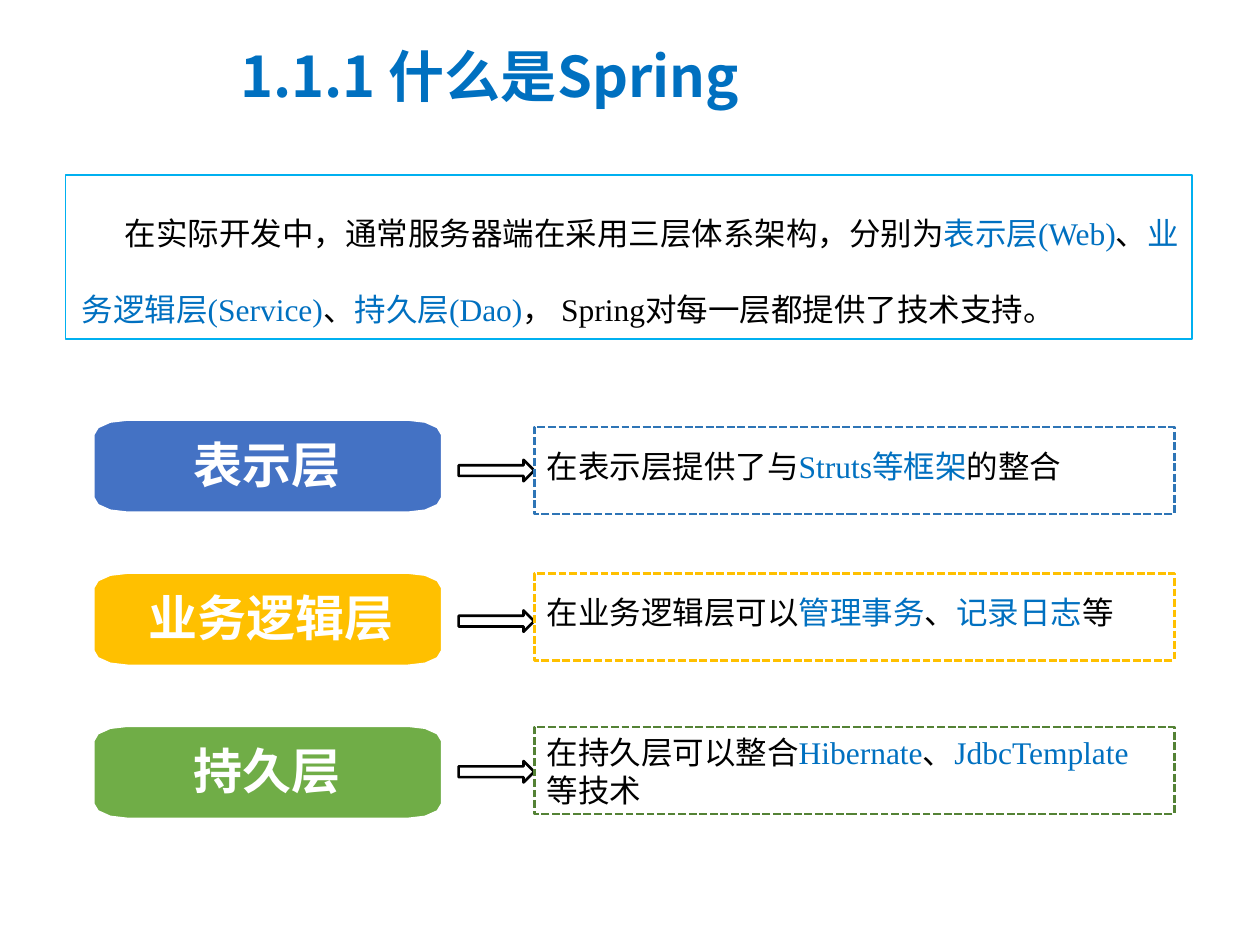
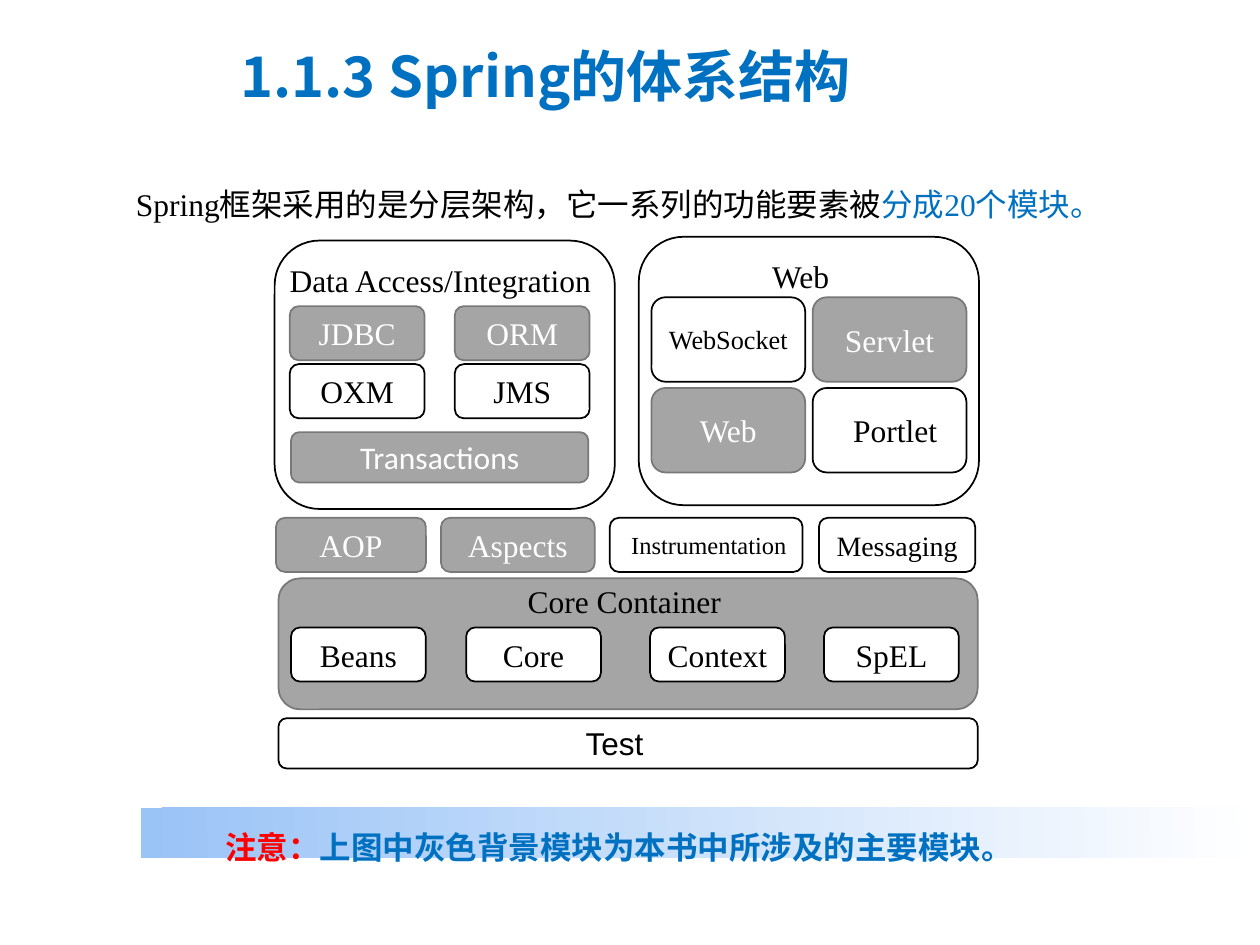
from math import cos, pi, sin

from lxml.etree import SubElement
from pptx import Presentation
from pptx.dml.color import RGBColor
from pptx.enum.dml import MSO_LINE_DASH_STYLE as Dash
from pptx.enum.shapes import MSO_SHAPE as Preset
from pptx.enum.text import MSO_ANCHOR as Anchor, PP_ALIGN as Align
from pptx.oxml.ns import qn
from pptx.util import Inches, Pt

COLORS = {
    "black": "000000", "white": "FFFFFF", "accent": "0070C0", "red": "FF0000",
    "frame": "00B0F0", "blue": "4472C4", "blue_line": "2E75B6",
    "gold": "FFC000", "green": "70AD47", "green_line": "548235",
    "gray": "A5A5A5", "gray_line": "787878", "band": "9AC3F6",
}
SERIF, SANS, CHINESE = "Times New Roman", "Arial", "Noto Sans CJK SC"
TITLE = {"size": 32, "font": CHINESE, "bold": True, "spacing": 0.9}
CARD_LABEL = {"size": 28, "font": CHINESE, "bold": True, "wrap": False}


def color(name):
    return RGBColor.from_string(COLORS[name])


def apply(target, values):
    for name, value in values.items():
        setattr(target, name, value)


def write(shape, paragraphs, size=18, font=SERIF, bold=False, spacing=None,
          indent=0, align=Align.LEFT, anchor=Anchor.TOP, wrap=True):
    """Fill a shape with paragraphs, each a list of (text, colour) runs."""
    frame = shape.text_frame
    apply(frame, {"word_wrap": wrap, "vertical_anchor": anchor})
    for index, runs in enumerate(paragraphs):
        paragraph = frame.add_paragraph() if index else frame.paragraphs[0]
        apply(paragraph, {"alignment": align, "line_spacing": spacing})
        if indent:
            paragraph._p.get_or_add_pPr().set("indent", str(Inches(indent)))
        for text, color_name in runs:
            run = paragraph.add_run()
            run.text = text
            apply(run.font, {"size": Pt(size), "name": font, "bold": bold})
            run.font.color.rgb = color(color_name)
            east_asian = SubElement(run._r.get_or_add_rPr(), qn("a:ea"))
            east_asian.set("typeface", CHINESE)


def paint(shape, fill, line, width):
    shape.shadow.inherit = False
    if fill:
        shape.fill.solid()
        shape.fill.fore_color.rgb = color(fill)
    else:
        shape.fill.background()
    shape.line.color.rgb = color(line)
    shape.line.width = Pt(width)


def set_opacity(shape, percent):
    fill_color = shape._element.spPr.find(qn("a:solidFill"))[0]
    SubElement(fill_color, qn("a:alpha")).set("val", str(percent * 1000))


def add_text(slide, at, *paragraphs, **style):
    write(slide.shapes.add_textbox(*map(Inches, at)), paragraphs, **style)


def add_box(slide, at, fill, line, width=1.0, preset=Preset.RECTANGLE):
    shape = slide.shapes.add_shape(preset, *map(Inches, at))
    paint(shape, fill, line, width)
    return shape


def add_card(slide, left, top, width, height, fill):
    """Draw a card whose corners are quarter ellipses."""
    radius_x, radius_y, steps = 0.27, 0.12, 3
    points = []
    for corner, (side_x, side_y) in enumerate([(1, 1), (0, 1), (0, 0), (1, 0)]):
        center_x = left + (width - radius_x if side_x else radius_x)
        center_y = top + (height - radius_y if side_y else radius_y)
        for step in range(steps + 1):
            angle = (corner + step / steps) * pi / 2
            points.append((Inches(center_x + radius_x * cos(angle)),
                           Inches(center_y + radius_y * sin(angle))))
    builder = slide.shapes.build_freeform(*points[0])
    builder.add_line_segments(points[1:], close=True)
    paint(builder.convert_to_shape(), fill, "white", 1.5)


def add_module(slide, at, text=None, covered=False, **style):
    """Add a rounded module box; covered modules are gray."""
    fill, line, ink = (("gray", "gray_line", "white") if covered
                       else ("white", "black", "black"))
    shape = add_box(slide, at, fill, line, preset=Preset.ROUNDED_RECTANGLE)
    if text:
        style = {"align": Align.CENTER, "anchor": Anchor.MIDDLE, **style}
        write(shape, [[(text, ink)]], **style)


def add_slide(presentation, title):
    slide = presentation.slides.add_slide(presentation.slide_layouts[6])
    add_text(slide, (1.81, 0.34, 6.15, 0.85), [(title, "accent")], **TITLE)
    return slide


def build_layers_slide(presentation):
    slide = add_slide(presentation, "1.1.1 什么是Spring")

    # Introduction
    frame = add_box(slide, (0.52, 1.39, 8.94, 1.3), "white", "frame", 0.75)
    set_opacity(frame, 90)
    add_text(slide, (0.55, 1.35, 8.94, 1.9), [
        ("在实际开发中，通常服务器端在采用三层体系架构，分别为", "black"),
        ("表示层(Web)", "accent"), ("、", "black"),
        ("业务逻辑层(Service)", "accent"), ("、", "black"),
        ("持久层(Dao)", "accent"),
        ("， Spring对每一层都提供了技术支持。", "black"),
    ], spacing=2.0, indent=0.34)

    # One row per layer: card, label, arrow and description
    layers = [
        ("表示层", 1.44, 1.4, "blue", "blue_line", 3.39, 3.5, [
            [("在表示层提供了与", "black"), ("Struts等框架", "accent"),
             ("的整合", "black")]]),
        ("业务逻辑层", 1.08, 2.18, "gold", "gold", 4.55, 4.66, [
            [("在业务逻辑层可以", "black"), ("管理事务", "accent"),
             ("、", "black"), ("记录日志", "accent"), ("等", "black")]]),
        ("持久层", 1.44, 1.4, "green", "green_line", 5.77, 5.77, [
            [("在持久层可以整合", "black"), ("Hibernate", "accent"),
             ("、", "black"), ("JdbcTemplate", "accent")],
            [("等技术", "black")]]),
    ]
    for row, (name, label_left, label_width, fill, line,
              box_top, text_top, description) in enumerate(layers):
        card_top = 3.33 + 1.215 * row
        add_card(slide, 0.74, card_top, 2.77, 0.74, fill)
        add_text(slide, (label_left, card_top + 0.07, label_width, 0.57),
                 [(name, "white")], **CARD_LABEL)
        add_box(slide, (3.64, 3.65 + 1.195 * row, 0.6, 0.17), None, "black",
                1.5, Preset.RIGHT_ARROW)
        box = add_box(slide, (4.24, box_top, 5.08, 0.69), "white", line, 1.5)
        box.line.dash_style = Dash.SQUARE_DOT
        add_text(slide, (4.24, text_top, 5.12, 0.4 * len(description)),
                 *description)


def build_architecture_slide(presentation):
    slide = add_slide(presentation, "1.1.3 Spring的体系结构")
    add_text(slide, (0.61, 1.12, 8.79, 0.7), [
        ("Spring框架采用的是分层架构，它一系列的功能要素被", "black"),
        ("分成20个模块。", "accent"),
    ], spacing=2.0, indent=0.37)

    # Core container
    add_module(slide, (2.21, 4.59, 5.55, 1.04), covered=True)
    for left, name in [(2.31, "Beans"), (3.7, "Core"),
                       (5.16, "Context"), (6.54, "SpEL")]:
        add_module(slide, (left, 4.98, 1.07, 0.43), name)
    add_text(slide, (3.97, 4.57, 2.07, 0.4), [("Core Container", "black")],
             indent=0.12)

    # Test
    add_module(slide, (2.21, 5.7, 5.55, 0.4))
    add_text(slide, (4.48, 5.7, 0.89, 0.4), [("Test", "black")],
             font=SANS, indent=0.07)

    # Data access and integration
    add_module(slide, (2.18, 1.91, 2.7, 2.13))
    for row, names in enumerate([("JDBC", "ORM"), ("OXM", "JMS")]):
        for column, name in enumerate(names):
            add_module(slide, (2.3 + 1.31 * column, 2.43 + 0.46 * row,
                               1.07, 0.43), name, covered=row == 0)
    add_text(slide, (2.2, 2.02, 2.67, 0.4),
             [("Data Access/Integration", "black")])
    add_module(slide, (2.31, 3.43, 2.36, 0.4), "Transactions", True,
               font="Calibri")

    # Middle row
    for left, width, name, covered, style in [
        (2.19, 1.19, "AOP", True, {}),
        (3.5, 1.22, "Aspects", True, {}),
        (4.84, 1.53, "Instrumentation", False,
         {"size": 14, "align": Align.LEFT, "indent": 0.05}),
        (6.5, 1.24, "Messaging", False, {"size": 16}),
    ]:
        add_module(slide, (left, 4.11, width, 0.43), name, covered, **style)

    # Web
    add_module(slide, (5.07, 1.88, 2.7, 2.13))
    for column, row, name, covered, style in [
        (0, 0, "WebSocket", False, {"size": 15}),
        (1, 0, "Servlet", True, {}),
        (0, 1, "Web", True, {}),
        (1, 1, "Portlet", False, {"align": Align.LEFT, "indent": 0.19}),
    ]:
        add_module(slide, (5.17 + 1.28 * column, 2.36 + 0.72 * row,
                           1.22, 0.67), name, covered, **style)
    add_text(slide, (6.03, 1.99, 1.39, 0.4), [("Web", "black")])

    # Note on a fading band
    band = add_box(slide, (1.12, 6.41, 8.88, 0.4), "band", "band")
    band.line.fill.background()
    band.fill.gradient()
    band.fill.gradient_angle = 1
    for stop, name in zip(band.fill.gradient_stops, ("band", "white")):
        stop.color.rgb = color(name)
    add_text(slide, (1.69, 6.52, 6.97, 0.4), [
        ("注意：", "red"),
        ("上图中灰色背景模块为本书中所涉及的主要模块。", "accent"),
    ], font=SANS, bold=True)


def main():
    presentation = Presentation()
    apply(presentation, {"slide_width": Inches(10), "slide_height": Inches(7.5)})
    build_layers_slide(presentation)
    build_architecture_slide(presentation)
    presentation.save("out.pptx")


if __name__ == "__main__":
    main()
